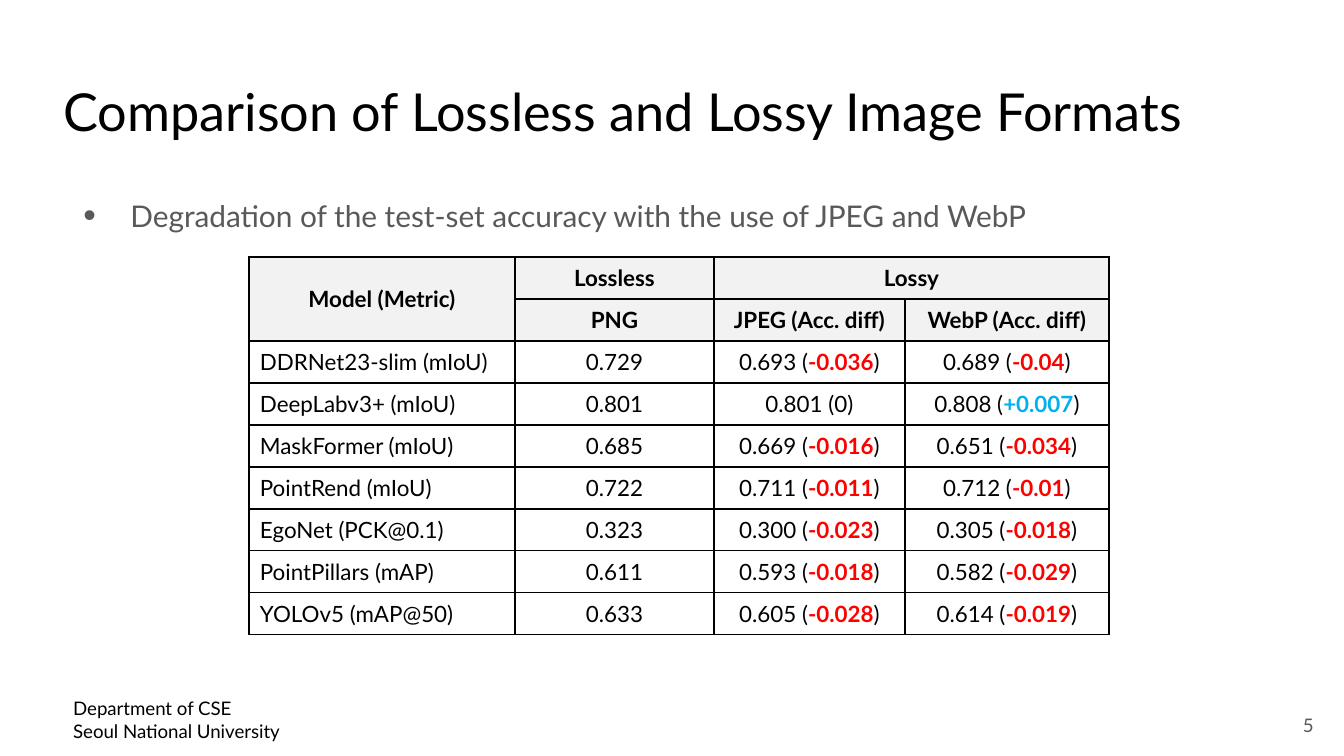
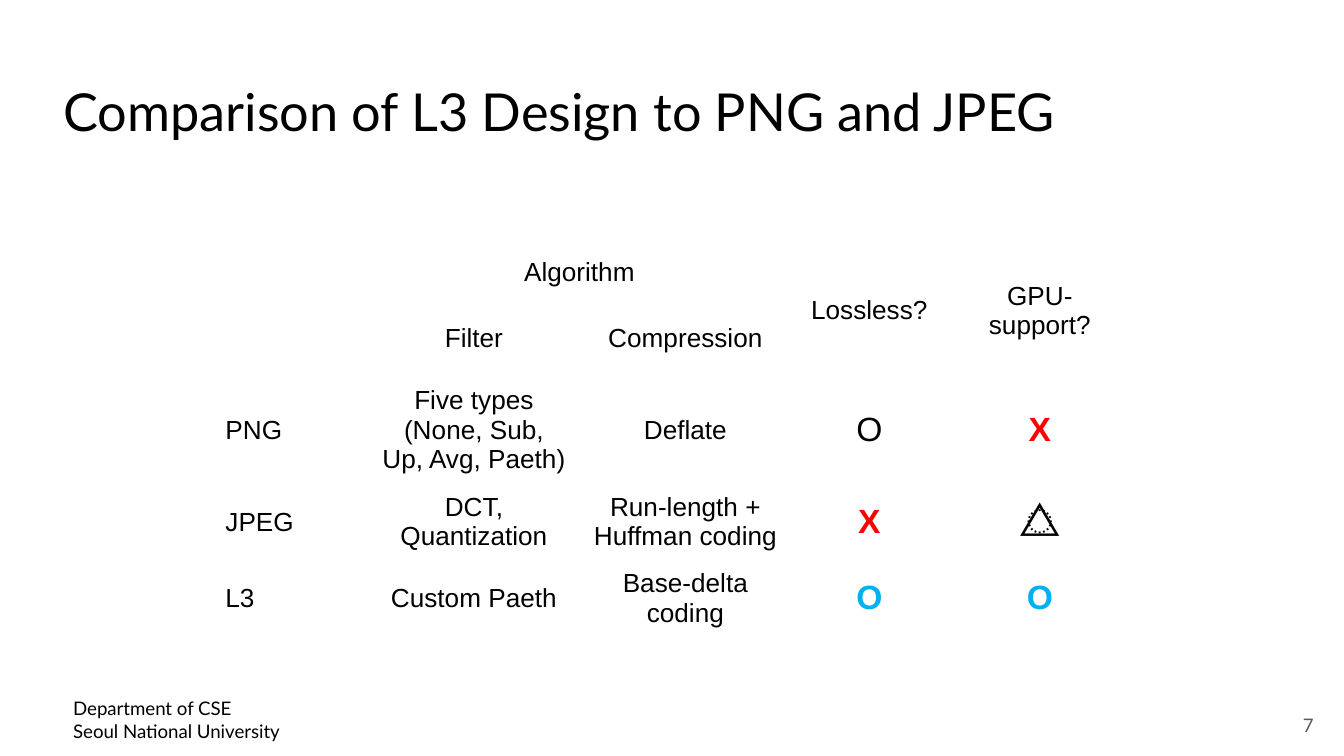
from lxml.etree import SubElement
from pptx import Presentation
from pptx.dml.color import RGBColor
from pptx.enum.text import MSO_ANCHOR as Anchor, MSO_AUTO_SIZE as AutoSize, PP_ALIGN as Align
from pptx.oxml.ns import qn
from pptx.util import Pt

PX = 6804
BLACK = RGBColor(0x00, 0x00, 0x00)
GRAY = RGBColor(0x59, 0x59, 0x59)
HEADER_FILL = RGBColor(0xF2, 0xF2, 0xF2)
RED = RGBColor(0xFF, 0x00, 0x00)
BLUE = RGBColor(0x00, 0xB0, 0xF0)
PLAIN_TABLE = "{2D5ABB26-0587-4C30-8999-92F81FD0307C}"


def format_text(frame, size, color=BLACK, font="Lato", bold=False, align=Align.LEFT):
    for paragraph in frame.paragraphs:
        paragraph.alignment = align
        for run in paragraph.runs:
            run.font.name = font
            run.font.size = Pt(size)
            run.font.bold = bold
            run.font.color.rgb = color


def add_plain_table(slide, left, top, widths, row_height, row_count):
    frame = slide.shapes.add_table(row_count, len(widths), left * PX, top * PX,
                                   sum(widths) * PX, row_height * row_count * PX)
    table = frame.table
    table.first_row = table.horz_banding = False
    table._tbl.tblPr.find(qn("a:tableStyleId")).text = PLAIN_TABLE
    for column, width in zip(table.columns, widths):
        column.width = width * PX
    for row in table.rows:
        row.height = row_height * PX
        for cell in row.cells:
            cell.vertical_anchor = Anchor.MIDDLE
            cell.fill.background()
    return table


prs = Presentation()
prs.slide_width, prs.slide_height = 1344 * PX, 756 * PX

slides = []
for heading, layout_index, page in [
    ("Comparison of Lossless and Lossy Image Formats", 1, "5"),
    ("Comparison of L3 Design to PNG and JPEG", 5, "7"),
]:
    slide = prs.slides.add_slide(prs.slide_layouts[layout_index])
    title = slide.shapes.title
    title.left, title.top, title.width, title.height = [v * PX for v in (50, 71, 1243, 79)]
    title.text_frame.text = heading
    title.text_frame.auto_size = AutoSize.NONE
    title.text_frame.vertical_anchor = Anchor.MIDDLE
    format_text(title.text_frame, 28)

    page_number = slide.shapes.add_textbox(1246 * PX, 696 * PX, 81 * PX, 58 * PX).text_frame
    page_number.text = page
    page_number.word_wrap = True
    page_number.vertical_anchor = Anchor.MIDDLE
    page_number.margin_top = page_number.margin_bottom = 13 * PX
    format_text(page_number, 10, GRAY, align=Align.RIGHT)
    slides.append(slide)

accuracy_slide, design_slide = slides

department = accuracy_slide.shapes.add_textbox(60 * PX, 684 * PX, 606 * PX, 74 * PX)
department.text_frame.text = "Department of CSE\nSeoul National University"
department.text_frame.word_wrap = True
department.text_frame.auto_size = AutoSize.SHAPE_TO_FIT_TEXT
department.text_frame.margin_top = department.text_frame.margin_bottom = 13 * PX
format_text(department.text_frame, 10)
prs.slide_master.element.cSld.spTree.append(department.element)

summary = accuracy_slide.placeholders[1]
summary.left, summary.top, summary.width, summary.height = [v * PX for v in (50, 173, 1243, 503)]
summary.text_frame.text = "Degradation of the test-set accuracy with the use of JPEG and WebP"
summary.text_frame.auto_size = AutoSize.NONE
format_text(summary.text_frame, 16, GRAY)
point = summary.text_frame.paragraphs[0]
point.line_spacing = 1.5
point.space_before = Pt(0)
point_props = point._p.get_or_add_pPr()
point_props.set("marL", str(67 * PX))
point_props.set("indent", str(-47 * PX))
bullet_color = SubElement(point_props, qn("a:buClr"))
SubElement(bullet_color, qn("a:srgbClr"), val=str(GRAY))
SubElement(point_props, qn("a:buSzPct"), val="120000")
SubElement(point_props, qn("a:buFont"), typeface="Arial")
SubElement(point_props, qn("a:buChar"), char="•")

accuracy_rows = [
    ("Model (Metric)", "Lossless", "Lossy", ""),
    ("", "PNG", "JPEG (Acc. diff)", "WebP (Acc. diff)"),
    ("DDRNet23-slim (mIoU)", "0.729", "0.693 (-0.036)", "0.689 (-0.04)"),
    ("DeepLabv3+ (mIoU)", "0.801", "0.801 (0)", "0.808 (+0.007)"),
    ("MaskFormer (mIoU)", "0.685", "0.669 (-0.016)", "0.651 (-0.034)"),
    ("PointRend (mIoU)", "0.722", "0.711 (-0.011)", "0.712 (-0.01)"),
    ("EgoNet (PCK@0.1)", "0.323", "0.300 (-0.023)", "0.305 (-0.018)"),
    ("PointPillars (mAP)", "0.611", "0.593 (-0.018)", "0.582 (-0.029)"),
    ("YOLOv5 (mAP@50)", "0.633", "0.605 (-0.028)", "0.614 (-0.019)"),
]
accuracy = add_plain_table(accuracy_slide, 249, 257, (266, 199, 191, 204), 42, len(accuracy_rows))
accuracy.cell(0, 0).merge(accuracy.cell(1, 0))
accuracy.cell(0, 2).merge(accuracy.cell(0, 3))
for r, row in enumerate(accuracy_rows):
    is_header = r < 2
    for c, text in enumerate(row):
        cell = accuracy.cell(r, c)
        cell.margin_left = cell.margin_right = 11 * PX
        cell.margin_top = cell.margin_bottom = 5 * PX
        value, _, difference = text.rstrip(")").partition(" (")
        is_change = not is_header and difference[:1] in ("-", "+")
        if is_change and difference:
            paragraph = cell.text_frame.paragraphs[0]
            for part in (value + " (", difference, ")"):
                paragraph.add_run().text = part
        else:
            cell.text_frame.text = text
        format_text(cell.text_frame, 12, bold=is_header,
                    align=Align.CENTER if is_header or c else Align.LEFT)
        if is_change and difference:
            change = cell.text_frame.paragraphs[0].runs[1].font
            change.bold = True
            change.color.rgb = RED if difference.startswith("-") else BLUE

        cell_props = cell._tc.get_or_add_tcPr()
        for index, side in enumerate(("lnL", "lnR", "lnT", "lnB")):
            border = cell_props.makeelement(qn("a:" + side), {"w": str(Pt(1))})
            border_fill = SubElement(border, qn("a:solidFill"))
            SubElement(border_fill, qn("a:srgbClr"), val=str(BLACK))
            cell_props.insert(index, border)
        if is_header:
            cell.fill.solid()
            cell.fill.fore_color.rgb = HEADER_FILL

design_rows = [
    ("", "Algorithm", "", "Lossless?", "GPU-support?"),
    ("", "Filter", "Compression", "", ""),
    ("PNG", "Five types\n(None, Sub, Up, Avg, Paeth)", "Deflate", "O", "X"),
    ("JPEG", "DCT,\nQuantization", "Run-length +\nHuffman coding", "X", "⃤"),
    ("L3", "Custom Paeth", "Base-delta coding", "O", "O"),
]
design = add_plain_table(design_slide, 212, 245, (156, 212, 211, 157, 184), 55, len(design_rows))
for c in (0, 3, 4):
    design.cell(0, c).merge(design.cell(1, c))
design.cell(0, 1).merge(design.cell(0, 2))
for r, row in enumerate(design_rows):
    for c, text in enumerate(row):
        if not text:
            continue
        is_mark = r > 1 and c > 2
        color = BLACK
        if text == "X":
            color = RED
        elif is_mark and row[0] == "L3":
            color = BLUE
        cell = design.cell(r, c)
        cell.text_frame.text = text
        format_text(cell.text_frame, 18 if is_mark else 14, color, "Arial",
                    bold=color != BLACK, align=Align.CENTER if c else Align.LEFT)

prs.save("out.pptx")
